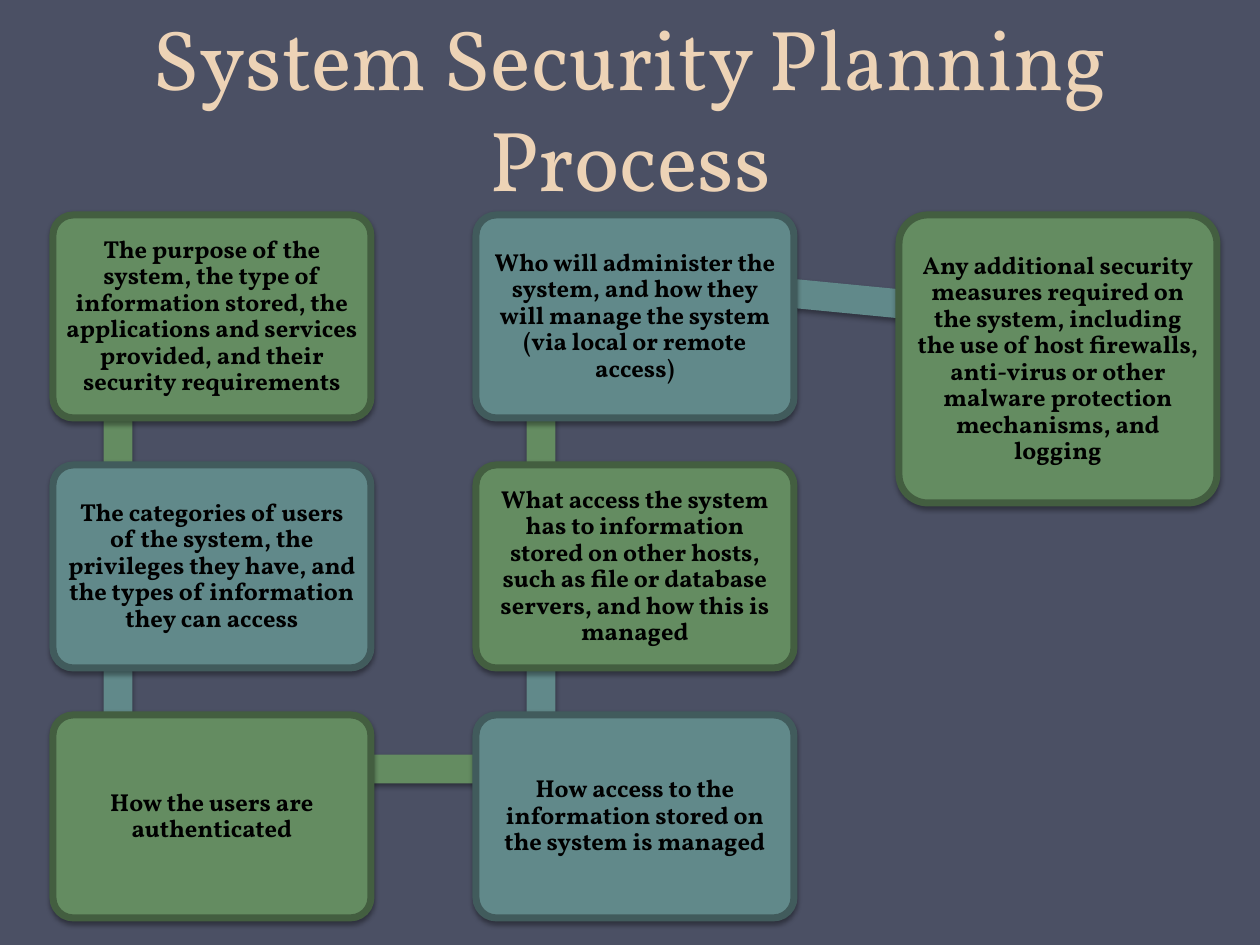
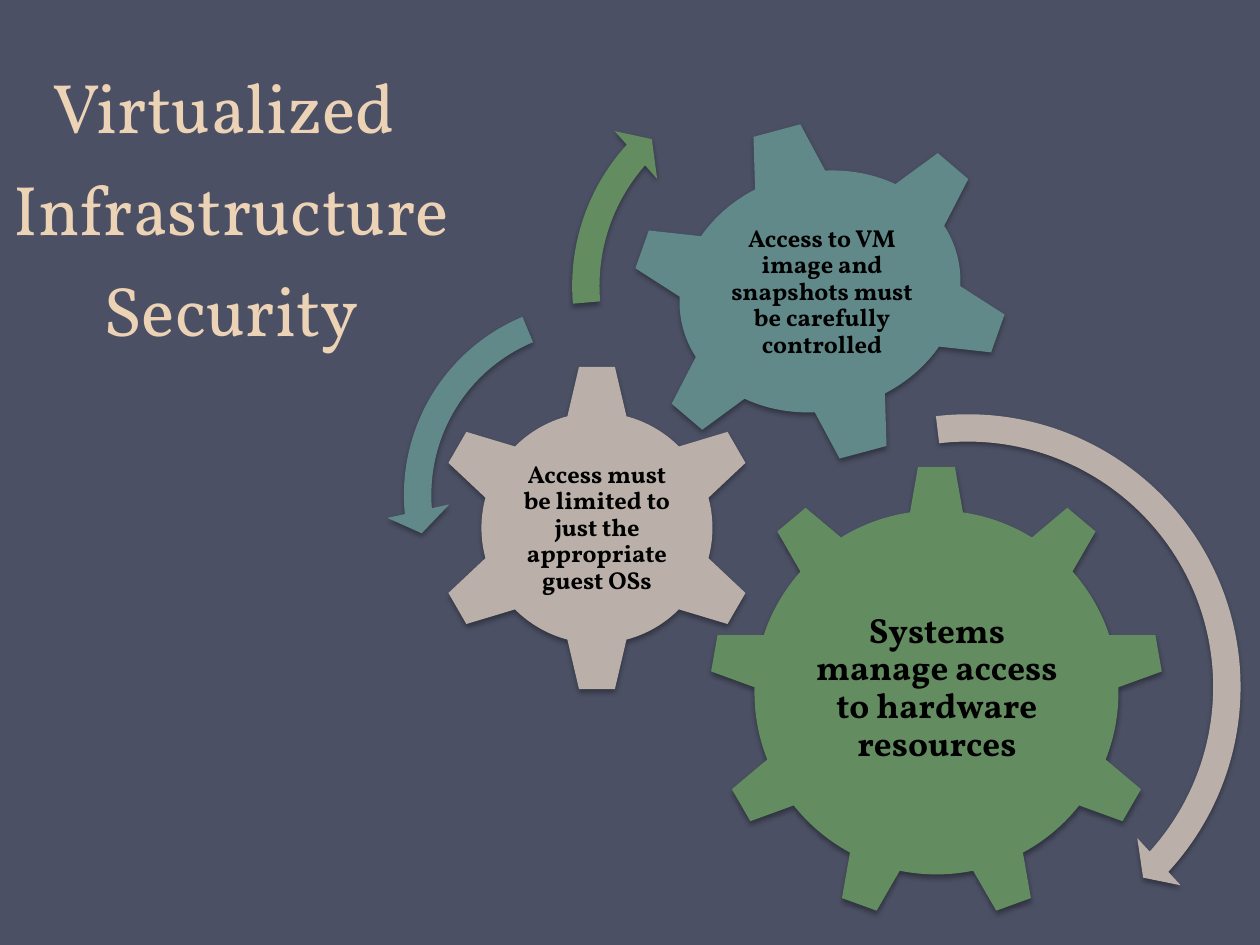
import math

import pptx
import pptx.dml.color
import pptx.enum.shapes
import pptx.enum.text
import pptx.oxml
import pptx.oxml.ns
import pptx.util
from pptx.enum.shapes import MSO_SHAPE

# Content. All lengths are px, 126 to the inch.
PX = 914400 / 126
SLIDE_SIZE = (1260, 945)
FONT = "Vollkorn"
BACKGROUND, TITLE_COLOUR, TEXT_COLOUR = "4B5064", "EDD3B6", "000000"
GREEN, TEAL, SAND = "648C61", "61898A", "BAB0A9"
BORDERS = {GREEN: "435E40", TEAL: "415B5C"}

PLANNING_TITLE = "System Security Planning Process"
# Column, row and text of each step, in the order of the path
PLANNING_STEPS = [
    (0, 0, "The purpose of the system, the type of information stored, the "
           "applications and services provided, and their security requirements"),
    (0, 1, "The categories of users of the system, the privileges they have, "
           "and the types of information they can access"),
    (0, 2, "How the users are authenticated"),
    (1, 2, "How access to the information stored on the system is managed"),
    (1, 1, "What access the system has to information stored on other hosts, "
           "such as file or database servers, and how this is managed"),
    (1, 0, "Who will administer the system, and how they will manage the system "
           "(via local or remote access)"),
    (2, 0, "Any additional security measures required on the system, including "
           "the use of host firewalls, anti-virus or other malware protection "
           "mechanisms, and logging"),
]
GRID_LEFT, GRID_TOP = 53, 215
COLUMN_PITCH, ROW_PITCH = 423, 250
CARD_WIDTH, CARD_HEIGHT, LAST_CARD_HEIGHT = 318, 203, 288
LINK_INSET, LINK_DEPTH, LAST_LINK_DEPTH, LINK_THICKNESS = 65, 54, 95, 29

VIRTUAL_TITLE = "Virtualized \vInfrastructure Security"
# Kind, colour, box, rotation, text box, text size, text
GEARS = [
    (MSO_SHAPE.GEAR_9, GREEN, (709, 465, 455, 455), 0, (801, 572, 272, 233), 20,
     "Systems manage access to hardware resources"),
    (MSO_SHAPE.GEAR_6, SAND, (432, 363, 330, 330), 0, (515, 447, 164, 163), 14,
     "Access must be limited to just the appropriate guest OSs"),
    (MSO_SHAPE.GEAR_6, TEAL, (627, 121, 386, 341), 345, (716, 194, 212, 197), 14,
     "Access to VM image and snapshots must be carefully controlled"),
]
# Kind, colour, box, band and head widths in thousandths,
# angles in degrees: head, end, start
TURNS = [
    (MSO_SHAPE.CIRCULAR_ARROW, SAND, (677, 396, 582, 582), (47, 55), (4.98, 42.45, 263.27)),
    (MSO_SHAPE.LEFT_CIRCULAR_ARROW, TEAL, (386, 284, 422, 422), (65, 75),
     (7.17, 174.82, 247.3)),
    (MSO_SHAPE.CIRCULAR_ARROW, GREEN, (554, 58, 456, 456), (60, 70), (6.57, 221.89, 175.14)),
]


def emu(box):
    return [pptx.util.Emu(round(length * PX)) for length in box]


def rgb(colour):
    return pptx.dml.color.RGBColor.from_string(colour)


def write(shape, text, size=14, colour=TEXT_COLOUR, bold=True, spacing=0.9,
          anchor=pptx.enum.text.MSO_ANCHOR.MIDDLE, inset=None):
    frame = shape.text_frame
    frame.word_wrap = True
    frame.auto_size = pptx.enum.text.MSO_AUTO_SIZE.NONE
    frame.vertical_anchor = anchor
    if inset is not None:
        margin = emu([inset])[0]
        frame.margin_left = frame.margin_right = margin
        frame.margin_top = frame.margin_bottom = margin
    frame.text = text
    paragraph = frame.paragraphs[0]
    paragraph.alignment = pptx.enum.text.PP_ALIGN.CENTER
    paragraph.line_spacing = spacing
    for run in paragraph.runs:
        run.font.name = FONT
        run.font.size = pptx.util.Pt(size)
        run.font.bold = bold
        run.font.color.rgb = rgb(colour)


def add_shadow(shape, opacity):
    shape.shadow.inherit = False
    effects = shape._element.spPr.find(pptx.oxml.ns.qn("a:effectLst"))
    effects.append(pptx.oxml.parse_xml(
        f'<a:outerShdw {pptx.oxml.ns.nsdecls("a")} blurRad="{pptx.util.Pt(3.1)}" '
        f'dist="{pptx.util.Pt(1.7)}" dir="5400000" rotWithShape="0">'
        f'<a:srgbClr val="000000"><a:alpha val="{opacity * 1000}"/></a:srgbClr>'
        '</a:outerShdw>'))


def add_part(slide, kind, box, colour, border=None, rotation=0, opacity=35):
    part = slide.shapes.add_shape(kind, *emu(box))
    part.rotation = rotation
    part.fill.solid()
    part.fill.fore_color.rgb = rgb(colour)
    if border:
        part.line.color.rgb = rgb(border)
        part.line.width = pptx.util.Pt(4)
    else:
        part.line.fill.background()
    add_shadow(part, opacity)
    return part


def add_titled_slide(deck, title, box, size):
    slide = deck.slides.add_slide(deck.slide_layouts[5])
    heading = slide.shapes.title
    heading.left, heading.top, heading.width, heading.height = emu(box)
    write(heading, title, size=size, colour=TITLE_COLOUR, bold=False,
          spacing=pptx.util.Pt(58), anchor=pptx.enum.text.MSO_ANCHOR.BOTTOM)
    return slide


def add_link(slide, start, end, colour):
    """Draw a flat bar between two points, turned to run along them."""
    dx, dy = end[0] - start[0], end[1] - start[1]
    length = math.hypot(dx, dy)
    box = ((start[0] + end[0] - length) / 2,
           (start[1] + end[1] - LINK_THICKNESS) / 2, length, LINK_THICKNESS)
    add_part(slide, MSO_SHAPE.RECTANGLE, box, colour,
             rotation=math.degrees(math.atan2(dy, dx)) % 360, opacity=38)


def build_planning(deck):
    slide = add_titled_slide(deck, PLANNING_TITLE, (0, 26, 1260, 189), 48.6)
    last = len(PLANNING_STEPS) - 1
    corners = [(GRID_LEFT + column * COLUMN_PITCH, GRID_TOP + row * ROW_PITCH)
               for column, row, _ in PLANNING_STEPS]
    joints = [(x + LINK_INSET, y + (LAST_LINK_DEPTH if i == last else LINK_DEPTH))
              for i, (x, y) in enumerate(corners)]
    for i, (_, _, text) in enumerate(PLANNING_STEPS):
        colour = (GREEN, TEAL)[i % 2]
        if i < last:
            add_link(slide, joints[i], joints[i + 1], colour)
        height = LAST_CARD_HEIGHT if i == last else CARD_HEIGHT
        card = add_part(slide, MSO_SHAPE.ROUNDED_RECTANGLE,
                        (*corners[i], CARD_WIDTH, height), colour,
                        border=BORDERS[colour], opacity=38)
        card.adjustments[0] = 0.1
        write(card, text, inset=7)


def build_virtual(deck):
    slide = add_titled_slide(deck, VIRTUAL_TITLE, (0, 38, 462, 319), 40)
    for kind, colour, box, rotation, text_box, size, text in GEARS:
        add_part(slide, kind, box, colour, rotation=rotation)
        write(slide.shapes.add_textbox(*emu(text_box)), text, size=size, inset=3)
    for kind, colour, box, (band, head), angles in TURNS:
        turn = add_part(slide, kind, box, colour)
        # Angles are stored in 60000ths of a degree, adjustments in 100000ths
        values = [band / 1000, *(angle * 0.6 for angle in angles), head / 1000]
        for i, value in enumerate(values):
            turn.adjustments[i] = value


def main():
    deck = pptx.Presentation()
    deck.slide_width, deck.slide_height = emu(SLIDE_SIZE)
    backdrop = deck.slide_master.background.fill
    backdrop.solid()
    backdrop.fore_color.rgb = rgb(BACKGROUND)
    build_planning(deck)
    build_virtual(deck)
    deck.save("out.pptx")


if __name__ == "__main__":
    main()
